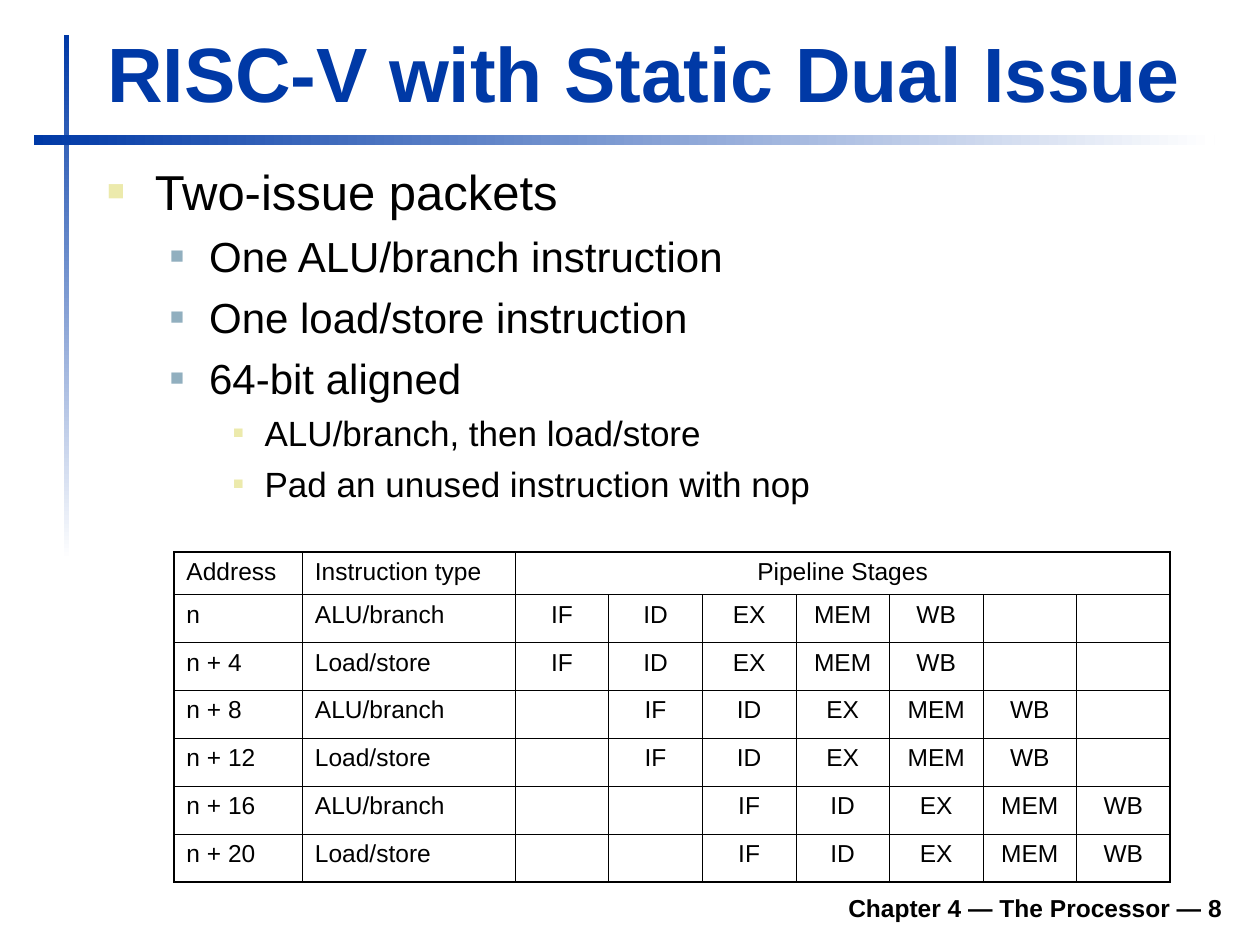
from dataclasses import dataclass

from lxml import etree
from pptx import Presentation
from pptx.dml.color import RGBColor
from pptx.enum.shapes import MSO_SHAPE
from pptx.enum.text import MSO_ANCHOR, MSO_AUTO_SIZE, PP_ALIGN
from pptx.oxml.ns import qn
from pptx.util import Inches, Pt

RECT = MSO_SHAPE.RECTANGLE
TOP, BOTTOM = MSO_ANCHOR.TOP, MSO_ANCHOR.BOTTOM
LEFT, CENTER, RIGHT = PP_ALIGN.LEFT, PP_ALIGN.CENTER, PP_ALIGN.RIGHT
FIXED, GROW = MSO_AUTO_SIZE.NONE, MSO_AUTO_SIZE.SHAPE_TO_FIT_TEXT

COLORS = {"blue": "0039A6", "white": "FFFFFF", "black": "000000",
          "sand": "ECEAAC", "steel": "91AFBF"}


@dataclass
class Box:
    left: float
    top: float
    width: float
    height: float

    def spot(self) -> tuple:
        return tuple(map(Inches, (self.left, self.top, self.width, self.height)))


@dataclass
class Level:
    size: int
    margin: float
    hang: float
    space: int
    color: str
    scale: int


@dataclass
class Item:
    text: str
    level: int


LEVELS = [
    Level(28, 0.38, 0.38, 7, "sand", 60),
    Level(24, 0.81, 0.31, 6, "steel", 55),
    Level(20, 1.25, 0.25, 5, "sand", 50),
]
ITEMS = [
    Item("Two-issue packets", 0),
    Item("One ALU/branch instruction", 1),
    Item("One load/store instruction", 1),
    Item("64-bit aligned", 1),
    Item("ALU/branch, then load/store", 2),
    Item("Pad an unused instruction with nop", 2),
]
BARS = [(Box(0.51, 0.28, 0.04, 4.17), 270), (Box(0.27, 1.07, 9.37, 0.08), 0)]
STAGES = ["IF", "ID", "EX", "MEM", "WB"]
KINDS = ["ALU/branch", "Load/store"]
ROWS, COLS = 7, 9
GRID = Box(1.38, 4.38, 7.91, 2.62)
HEADS = [1.02, 1.69]
CROWN, LANE = 0.34, 0.38
SMALL = 14
THICK, HEAD, THIN = 1.08, 0.75, 0.45


def rgb(name: str) -> RGBColor:
    return RGBColor.from_string(COLORS[name])


def apply(target, values: dict) -> None:
    for name, value in values.items():
        setattr(target, name, value)


def write(para, text: str, size: int, color: str = "black",
          bold: bool = False, align=LEFT) -> None:
    run = para.add_run()
    run.text = text
    apply(run.font, {"name": "Arial", "size": Pt(size), "bold": bold})
    run.font.color.rgb = rgb(color)
    para.alignment = align


def place(shape, box: Box, anchor, fit=FIXED):
    names = ("left", "top", "width", "height")
    apply(shape, dict(zip(names, box.spot())))
    frame = shape.text_frame
    apply(frame, {"word_wrap": True, "auto_size": fit, "vertical_anchor": anchor})
    return frame


def add_bar(slide, box: Box, angle: int) -> None:
    bar = slide.shapes.add_shape(RECT, *box.spot())
    bar.shadow.inherit = False
    bar.line.fill.background()
    bar.fill.gradient()
    bar.fill.gradient_angle = angle
    for stop, name in zip(bar.fill.gradient_stops, ("blue", "white")):
        stop.color.rgb = rgb(name)


def add_item(para, item: Item, first: bool) -> None:
    level = LEVELS[item.level]
    props = para._p.get_or_add_pPr()
    props.set("marL", str(Inches(level.margin)))
    props.set("indent", str(-Inches(level.hang)))
    tint = etree.SubElement(props, qn("a:buClr"))
    etree.SubElement(tint, qn("a:srgbClr"), val=COLORS[level.color])
    etree.SubElement(props, qn("a:buSzPct"), val=str(level.scale * 1000))
    etree.SubElement(props, qn("a:buFont"), typeface="Arial")
    etree.SubElement(props, qn("a:buChar"), char="■")
    apply(para, {"level": item.level, "space_before": Pt(0 if first else level.space)})
    write(para, item.text, level.size)


def add_edges(cell, edges: dict) -> None:
    props = cell._tc.get_or_add_tcPr()
    for side in "LRTB":
        line = etree.SubElement(props, qn(f"a:ln{side}"), w=str(Pt(edges[side])))
        fill = etree.SubElement(line, qn("a:solidFill"))
        etree.SubElement(fill, qn("a:srgbClr"), val=COLORS["black"])
    cell.fill.background()


def add_grid(slide) -> None:
    table = slide.shapes.add_table(ROWS, COLS, *GRID.spot()).table
    apply(table, {"first_row": False, "horz_banding": False})
    stage = (GRID.width - sum(HEADS)) / (COLS - len(HEADS))
    for col, column in enumerate(table.columns):
        column.width = Inches(HEADS[col] if col < len(HEADS) else stage)
    for row, lane in enumerate(table.rows):
        lane.height = Inches(LANE if row else CROWN)
    table.cell(0, 2).merge(table.cell(0, COLS - 1))

    texts = {(0, 0): "Address", (0, 1): "Instruction type", (0, 2): "Pipeline Stages"}
    for step in range(ROWS - 1):
        row = step + 1
        texts[row, 0] = f"n + {4 * step}" if step else "n"
        texts[row, 1] = KINDS[step % 2]
        for pos, name in enumerate(STAGES):
            texts[row, 2 + step // 2 + pos] = name

    for row in range(ROWS):
        for col in range(COLS):
            cell = table.cell(row, col)
            add_edges(cell, {
                "L": THIN if col else THICK,
                "R": THICK if col + cell.span_width == COLS else THIN,
                "T": {0: THICK, 1: HEAD}.get(row, THIN),
                "B": {0: HEAD, ROWS - 1: THICK}.get(row, THIN),
            })
            para = cell.text_frame.paragraphs[0]
            if (row, col) in texts:
                write(para, texts[row, col], SMALL,
                      align=LEFT if col < len(HEADS) else CENTER)
            else:
                etree.SubElement(para._p, qn("a:endParaRPr"), sz=str(SMALL * 100))


def main() -> None:
    deck = Presentation()
    apply(deck, {"slide_width": Inches(10), "slide_height": Inches(7.5)})
    slide = deck.slides.add_slide(deck.slide_layouts[1])
    for box, angle in BARS:
        add_bar(slide, box, angle)

    note = slide.shapes.add_textbox(0, 0, 0, 0)
    frame = place(note, Box(1.85, 6.98, 7.95, 0.39), BOTTOM)
    write(frame.paragraphs[0], "Chapter 4 — The Processor — 8", 14,
          bold=True, align=RIGHT)

    frame = place(slide.shapes.title, Box(0.75, 0.16, 9.03, 0.83), BOTTOM, GROW)
    write(frame.paragraphs[0], "RISC-V with Static Dual Issue", 44, "blue", True)

    frame = place(slide.placeholders[1], Box(0.75, 1.23, 9.04, 3.02), TOP)
    for pos, item in enumerate(ITEMS):
        para = frame.add_paragraph() if pos else frame.paragraphs[0]
        add_item(para, item, pos == 0)

    add_grid(slide)
    deck.save("out.pptx")


if __name__ == "__main__":
    main()
